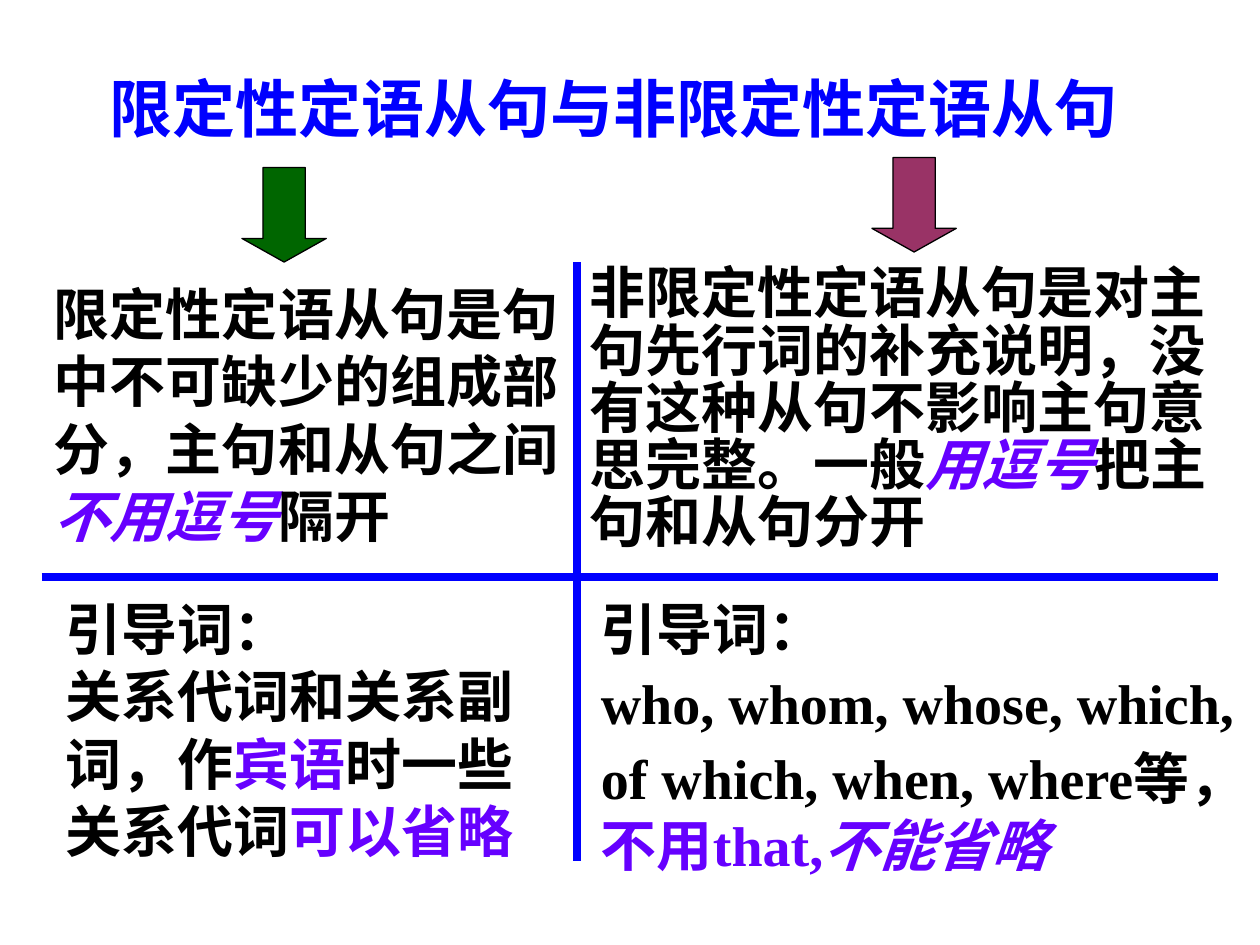
import pptx
import pptx.util
import pptx.dml.color
import pptx.enum.shapes
import pptx.enum.text
import pptx.oxml.ns
import lxml.etree

Inches, Pt = pptx.util.Inches, pptx.util.Pt
FONT = "Times New Roman"
COLORS = {"blue": "0000FF", "black": "000000", "violet": "6600FF",
          "green": "006600", "plum": "993366"}

# Content: a run is (text, colour, italic); "\n" is a line break
TITLE = [[("限定性定语从句与非限定性定语从句", "blue", False)]]
LEFT_TOP = [[("限定性定语从句是句中不可缺少的组成部分，主句和从句之间", "black", False),
             ("不用逗号", "violet", True),
             ("隔开", "black", False)]]
RIGHT_TOP = [[("非限定性定语从句是对主句先行词的补充说明，没有这种从句不影响主句意思完整。一般",
               "black", False),
              ("用逗号", "violet", True),
              ("把主句和从句分开", "black", False)]]
LEFT_LOW = [[("引导词：\n关系代词和关系副词，作", "black", False),
             ("宾语", "violet", False),
             ("时一些关系代词", "black", False),
             ("可以省略", "violet", False)]]
RIGHT_LOW = [[("引导词：", "black", False)],
             [("who, whom, whose, which,", "black", False)],
             [("of which, when, where等，", "black", False),
              ("不用that,", "violet", False),
              ("不能省略", "violet", True)]]

# Places: left, top, width, height; then line spacing
CELLS = [
    (LEFT_TOP, (0.33, 2.17, 4.25, 2.24), None),
    (RIGHT_TOP, (4.58, 2.08, 5.17, 2.37), 0.85),
    (RIGHT_LOW, (4.67, 4.67, 5.5, 2.35), None),
    (LEFT_LOW, (0.42, 4.67, 4.08, 2.24), None),
]
ARROWS = [(1.92, 1.33, "green"), (6.92, 1.25, "plum")]
RULES = [(4.58, 2.08, 4.58, 6.83), (0.33, 4.58, 9.67, 4.58)]


def rgb(name):
    return pptx.dml.color.RGBColor.from_string(COLORS[name])


def fill_text(shape, paras, size, spacing=None):
    frame = shape.text_frame
    frame.word_wrap = True
    frame.auto_size = pptx.enum.text.MSO_AUTO_SIZE.SHAPE_TO_FIT_TEXT
    frame.vertical_anchor = pptx.enum.text.MSO_ANCHOR.TOP
    for i, runs in enumerate(paras):
        para = frame.add_paragraph() if i else frame.paragraphs[0]
        para.space_before = Pt(4 if i else 0)
        if spacing:
            para.line_spacing = spacing
        for text, color, italic in runs:
            for j, part in enumerate(text.split("\n")):
                if j:
                    para.add_line_break()
                run = para.add_run()
                run.text = part
                font = run.font
                font.name, font.size = FONT, Pt(size)
                font.bold, font.italic = True, italic
                font.color.rgb = rgb(color)


def main():
    deck = pptx.Presentation()
    deck.slide_width, deck.slide_height = Inches(10), Inches(7.5)
    slide = deck.slides.add_slide(deck.slide_layouts[5])
    shapes = slide.shapes

    # Title
    title = shapes.title
    title.left, title.top = Inches(0.33), Inches(0.5)
    title.width, title.height = Inches(9.08), Inches(0.7)
    fill_text(title, TITLE, 36)
    title.text_frame.paragraphs[0].alignment = pptx.enum.text.PP_ALIGN.CENTER

    # Four text cells
    for paras, place, spacing in CELLS:
        box = shapes.add_textbox(*map(Inches, place))
        fill_text(box, paras, 32, spacing)

    # Arrows from the title to each column
    for left, top, color in ARROWS:
        arrow = shapes.add_shape(pptx.enum.shapes.MSO_SHAPE.DOWN_ARROW,
                                 Inches(left), Inches(top), Inches(0.67), Inches(0.75))
        arrow.adjustments[0], arrow.adjustments[1] = 0.5, 0.28
        arrow.shadow.inherit = False
        arrow.fill.solid()
        arrow.fill.fore_color.rgb = rgb(color)
        arrow.line.color.rgb = rgb("black")
        arrow.line.width = Pt(0.75)

    # Cross of dividing lines
    for ends in RULES:
        rule = shapes.add_connector(pptx.enum.shapes.MSO_CONNECTOR.STRAIGHT,
                                    *map(Inches, ends))
        rule.line.color.rgb = rgb("blue")
        rule.line.width = Pt(4.25)
        lxml.etree.SubElement(rule._element.spPr, pptx.oxml.ns.qn("a:effectLst"))

    deck.save("out.pptx")


if __name__ == "__main__":
    main()
